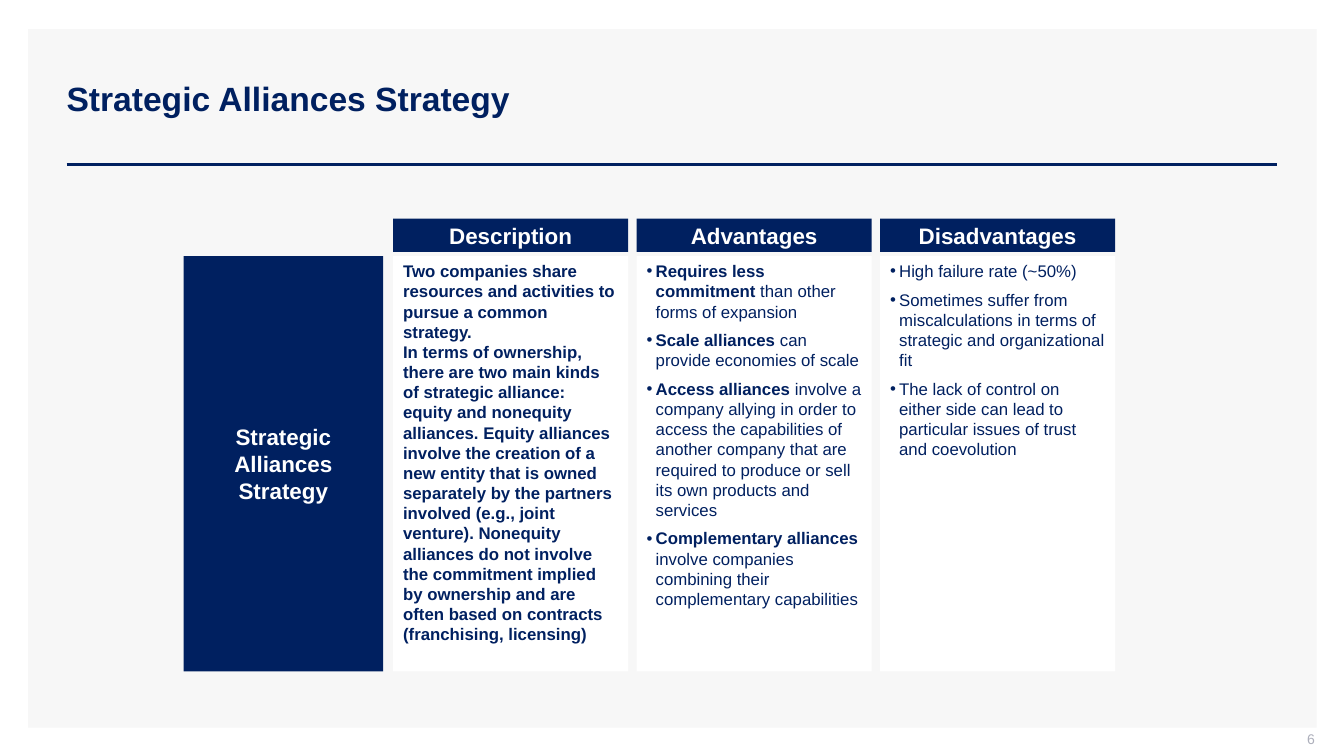
from lxml import etree
from pptx import Presentation
from pptx.dml.color import RGBColor
from pptx.enum import shapes, text
from pptx.oxml.ns import qn
from pptx.util import Inches, Pt

COLORS = {"navy": "002060", "panel": "F7F7F7", "white": "FFFFFF", "gray": "ADAFBB"}
TITLE = "Strategic Alliances Strategy"
PAGE = "6"
COLUMNS = [
    ("Description", False, [
        ("Two companies share resources and activities to pursue a common strategy.", ""),
        ("In terms of ownership, there are two main kinds of strategic alliance: equity and "
         "nonequity alliances. Equity alliances involve the creation of a new entity that is "
         "owned separately by the partners involved (e.g., joint venture). Nonequity alliances "
         "do not involve the commitment implied by ownership and are often based on contracts "
         "(franchising, licensing)", ""),
    ]),
    ("Advantages", True, [
        ("Requires less commitment ", "than other forms of expansion"),
        ("Scale alliances ", "can provide economies of scale"),
        ("Access alliances ", "involve a company allying in order to access the capabilities of "
         "another company that are required to produce or sell its own products and services"),
        ("Complementary alliances ", "involve companies combining their complementary capabilities"),
    ]),
    ("Disadvantages", True, [
        ("", "High failure rate (~50%)"),
        ("", "Sometimes suffer from miscalculations in terms of strategic and organizational fit"),
        ("", "The lack of control on either side can lead to particular issues of trust and coevolution"),
    ]),
]
COL_LEFT, COL_W, COL_STEP = 3.9, 2.33, 2.415
HEAD_TOP, HEAD_H = 2.17, 0.33
BODY_TOP, BODY_H = 2.54, 4.12


def rgb(name):
    return RGBColor.from_string(COLORS[name])


def style(r, size, color, bold=False):
    r.font.name = "Arial"
    r.font.size = Pt(size)
    r.font.bold = bold
    r.font.color.rgb = rgb(color)


def add_box(s, left, top, width, height, fill):
    sp = s.shapes.add_shape(shapes.MSO_SHAPE.RECTANGLE, Inches(left), Inches(top),
                            Inches(width), Inches(height))
    sp.shadow.inherit = False
    sp.fill.solid()
    sp.fill.fore_color.rgb = rgb(fill)
    sp.line.fill.background()
    return sp


def add_label(s, label, left, top, width, height):
    tf = add_box(s, left, top, width, height, "navy").text_frame
    tf.text = label
    tf.vertical_anchor = text.MSO_ANCHOR.MIDDLE
    tf.paragraphs[0].alignment = text.PP_ALIGN.CENTER
    style(tf.paragraphs[0].runs[0], 16, "white", True)


def add_bullet(p):
    pPr = p._p.get_or_add_pPr()
    pPr.set("marL", str(Inches(0.09)))
    pPr.set("indent", str(-Inches(0.09)))
    etree.SubElement(pPr, qn("a:buFont")).set("typeface", "Arial")
    etree.SubElement(pPr, qn("a:buChar")).set("char", "•")


def add_body(s, items, bulleted, left):
    tf = add_box(s, left, BODY_TOP, COL_W, BODY_H, "white").text_frame
    tf.vertical_anchor = text.MSO_ANCHOR.TOP
    for i, (strong, plain) in enumerate(items):
        p = tf.add_paragraph() if i else tf.paragraphs[0]
        p.alignment = text.PP_ALIGN.LEFT
        if bulleted:
            add_bullet(p)
            p.space_after = Pt(3)
            if i:
                p.space_before = Pt(3)
        for words, bold in ((strong, True), (plain, False)):
            if words:
                r = p.add_run()
                r.text = words
                style(r, 12, "navy", bold)


def add_title(s):
    title = s.shapes.title
    title.left, title.top = Inches(0.56), Inches(0.4)
    title.width, title.height = Inches(12.11), Inches(1.19)
    tf = title.text_frame
    tf.text = TITLE
    tf.vertical_anchor = text.MSO_ANCHOR.MIDDLE
    p = tf.paragraphs[0]
    p.alignment = text.PP_ALIGN.LEFT
    p.line_spacing = 0.9
    style(p.runs[0], 24, "navy", True)
    return title


def add_rule(s):
    rule = s.shapes.add_connector(shapes.MSO_CONNECTOR.STRAIGHT, Inches(0.66), Inches(1.63),
                                  Inches(12.67), Inches(1.63))
    rule.line.color.rgb = rgb("navy")
    rule.line.width = Pt(2)
    etree.SubElement(rule._element.spPr, qn("a:effectLst"))


def add_page_number(s):
    tf = s.shapes.add_textbox(Inches(10.04), Inches(7.25), Inches(3), Inches(0.21)).text_frame
    tf.word_wrap = True
    tf.margin_right = tf.margin_top = 0
    tf.margin_bottom = Inches(0.05)
    tf.vertical_anchor = text.MSO_ANCHOR.MIDDLE
    tf.text = PAGE
    tf.paragraphs[0].alignment = text.PP_ALIGN.RIGHT
    style(tf.paragraphs[0].runs[0], 10, "gray")


def main():
    prs = Presentation()
    prs.slide_width, prs.slide_height = Inches(13.33), Inches(7.5)
    s = prs.slides.add_slide(prs.slide_layouts[5])
    title = add_title(s)
    panel = add_box(s, 0.28, 0.29, 12.78, 6.93, "panel")
    title.element.addprevious(panel.element)
    add_rule(s)
    add_page_number(s)
    add_label(s, TITLE, 1.82, BODY_TOP, 1.98, BODY_H)
    for i, (heading, bulleted, items) in enumerate(COLUMNS):
        left = COL_LEFT + i * COL_STEP
        add_label(s, heading, left, HEAD_TOP, COL_W, HEAD_H)
        add_body(s, items, bulleted, left)
    prs.save("out.pptx")


if __name__ == "__main__":
    main()
